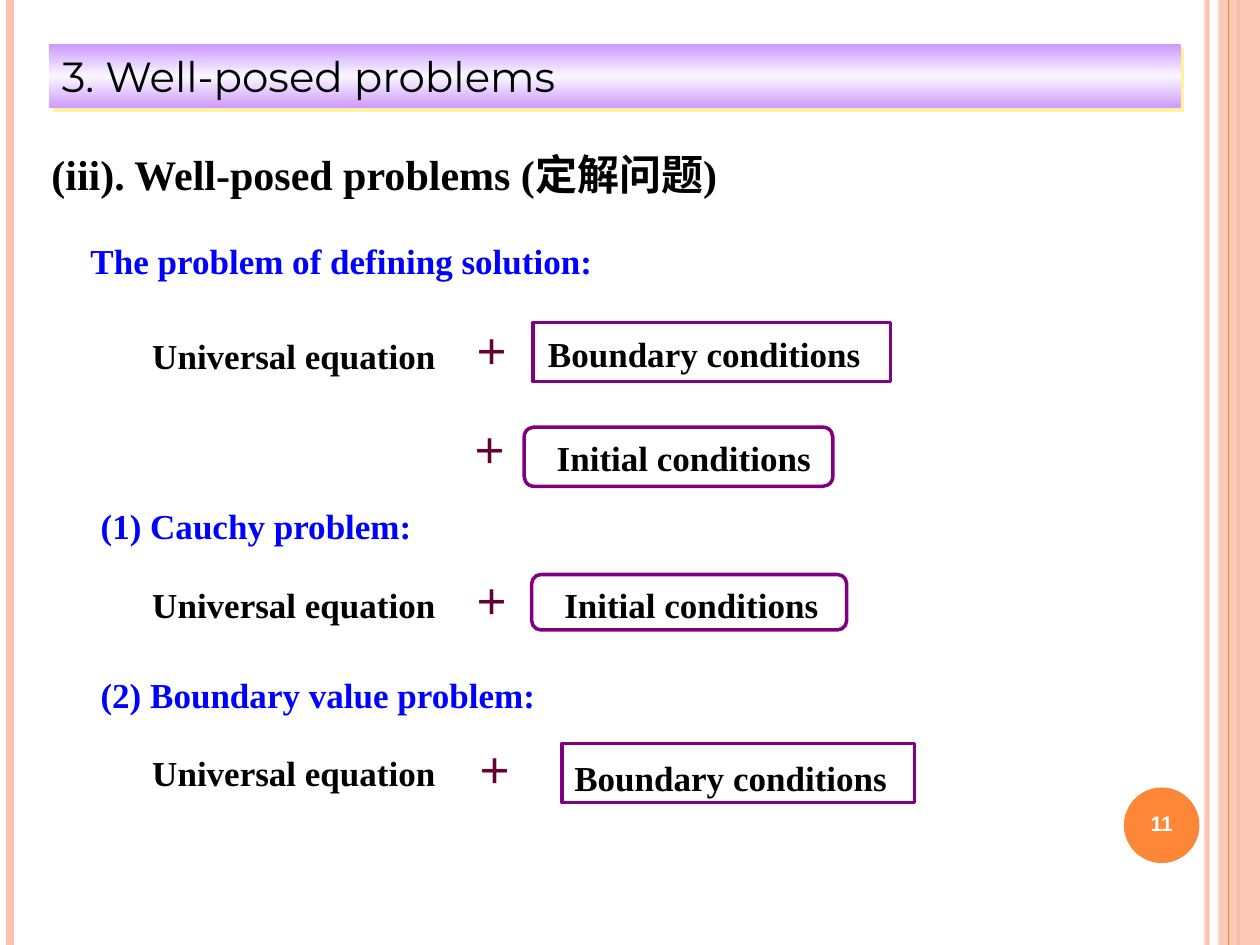
from lxml.etree import SubElement
from pptx import Presentation
from pptx.dml.color import RGBColor
from pptx.enum.shapes import MSO_CONNECTOR, MSO_SHAPE
from pptx.enum.text import MSO_ANCHOR, MSO_AUTO_SIZE, PP_ALIGN
from pptx.oxml import parse_xml
from pptx.oxml.ns import nsdecls, qn
from pptx.util import Inches, Pt

BLACK = RGBColor(0x00, 0x00, 0x00)
WHITE = RGBColor(0xFF, 0xFF, 0xFF)
BLUE = RGBColor(0x00, 0x00, 0xFF)
PURPLE = RGBColor(0x80, 0x00, 0x80)
MAROON = RGBColor(0x66, 0x00, 0x33)
ORANGE = RGBColor(0xFE, 0x86, 0x37)
PEACH = RGBColor(0xFE, 0xC3, 0xAE)
LILAC = RGBColor(0xCC, 0x99, 0xFF)
PALE_LILAC = RGBColor(0xFA, 0xF7, 0xFF)
YELLOW = RGBColor(0xFF, 0xF3, 0x9D)

SERIF = "Times New Roman"


def set_alpha(sp, percent):
    """Make the first solid colour of a shape or line partly transparent."""
    color = next(sp._element.spPr.iter(qn("a:srgbClr")))
    SubElement(color, qn("a:alpha"), val=str(percent * 1000))


def format_text(tf, text, size, color, font=SERIF, bold=True):
    tf.text = text
    r = tf.paragraphs[0].runs[0]
    r.font.name = font
    r.font.size = Pt(size)
    r.font.bold = bold
    r.font.color.rgb = color


def add_text(shapes, text, left, top, width, height=0.57, size=20,
             color=BLACK, spacing=1.4, wrap=True):
    box = shapes.add_textbox(Inches(left), Inches(top), Inches(width), Inches(height))
    tf = box.text_frame
    tf.word_wrap = wrap
    tf.auto_size = MSO_AUTO_SIZE.SHAPE_TO_FIT_TEXT
    format_text(tf, text, size, color)
    tf.paragraphs[0].line_spacing = spacing


def add_vertical_line(shapes, x, width, color, alpha=100):
    line = shapes.add_connector(MSO_CONNECTOR.STRAIGHT, Inches(x), 0, Inches(x), Inches(7.5))
    line.line.color.rgb = color
    line.line.width = Pt(width)
    SubElement(line._element.spPr, qn("a:effectLst"))
    if alpha < 100:
        set_alpha(line, alpha)


def add_filled_shape(shapes, kind, left, top, width, height, color):
    sp = shapes.add_shape(kind, Inches(left), Inches(top), Inches(width), Inches(height))
    sp.shadow.inherit = False
    sp.fill.solid()
    sp.fill.fore_color.rgb = color
    sp.line.fill.background()
    return sp


def add_condition(slide, text, text_at, kind, frame, plus_at):
    """Group a plus sign with a framed condition."""
    shapes = slide.shapes.add_group_shape().shapes
    add_text(shapes, text, *text_at, 3.62)
    sp = shapes.add_shape(kind, *map(Inches, frame))
    sp.shadow.inherit = False
    sp.fill.background()
    sp.line.color.rgb = PURPLE
    sp.line.width = Pt(2)
    add_text(shapes, "＋", *plus_at, 0.48, 0.44, color=MAROON, spacing=1.0, wrap=False)


def add_border(shapes):
    add_vertical_line(shapes, 9.58, 3, PEACH, 93)
    add_vertical_line(shapes, 0.08, 4.5, PEACH)
    add_vertical_line(shapes, 9.83, 1.5, ORANGE)
    band = add_filled_shape(shapes, MSO_SHAPE.RECTANGLE, 9.67, 0, 0.33, 7.5, PEACH)
    set_alpha(band, 87)
    add_vertical_line(shapes, 9.75, 0.75, ORANGE)


def add_page_number(shapes, number):
    sp = add_filled_shape(shapes, MSO_SHAPE.OVAL, 8.92, 6.25, 0.6, 0.6, ORANGE)
    tf = sp.text_frame
    tf.margin_left = tf.margin_right = 0
    tf.margin_top, tf.margin_bottom = 0, Inches(0.03)
    tf.vertical_anchor = MSO_ANCHOR.MIDDLE
    format_text(tf, number, 12, WHITE, "Arial")
    tf.paragraphs[0].alignment = PP_ALIGN.CENTER


def format_title(title, text):
    title.left, title.top = Inches(0.39), Inches(0.35)
    title.width, title.height = Inches(8.98), Inches(0.51)
    tf = title.text_frame
    tf.auto_size = MSO_AUTO_SIZE.NONE
    tf.vertical_anchor = MSO_ANCHOR.TOP
    format_text(tf, text, 24, BLACK, "Montserrat", bold=False)
    tf.paragraphs[0].alignment = PP_ALIGN.LEFT
    stops = "".join(
        f'<a:gs pos="{pos * 1000}"><a:srgbClr val="{color}"/></a:gs>'
        for pos, color in ((0, LILAC), (50, PALE_LILAC), (100, LILAC)))
    title._element.spPr.append(parse_xml(
        f'<a:gradFill {nsdecls("a")} rotWithShape="1"><a:gsLst>{stops}</a:gsLst>'
        '<a:lin ang="5400000" scaled="1"/></a:gradFill>'))
    title._element.spPr.append(parse_xml(
        f'<a:effectLst {nsdecls("a")}><a:outerShdw dist="{Pt(2.8)}" dir="2700000" '
        f'algn="ctr" rotWithShape="0"><a:srgbClr val="{YELLOW}"/></a:outerShdw></a:effectLst>'))


def main():
    prs = Presentation()
    prs.slide_width, prs.slide_height = Inches(10), Inches(7.5)
    slide = prs.slides.add_slide(prs.slide_layouts[5])
    shapes = slide.shapes

    format_title(shapes.title, "3. Well-posed problems")
    add_border(shapes)
    add_page_number(shapes, "11")

    add_text(shapes, "(iii). Well-posed problems (定解问题)", 0.31, 0.97, 8.03, 0.67, size=24)
    for text, left, top, width in (
            ("The problem of defining solution:", 0.62, 1.72, 8.03),
            ("(1) Cauchy problem:", 0.7, 3.82, 5.75),
            ("(2) Boundary value problem:", 0.7, 5.16, 6.3)):
        add_text(shapes, text, left, top, width, color=BLUE)
    for top in (2.47, 4.45, 5.78):
        add_text(shapes, "Universal equation", 1.11, top, 2.99)

    boundary = "Boundary conditions", MSO_SHAPE.RECTANGLE
    initial = "Initial conditions", MSO_SHAPE.ROUNDED_RECTANGLE
    for (text, kind), text_at, frame, plus_at in (
            (boundary, (4.25, 2.46), (4.23, 2.56, 2.84, 0.47), (3.67, 2.57)),
            (initial, (4.32, 3.28), (4.16, 3.39, 2.45, 0.47), (3.65, 3.36)),
            (initial, (4.38, 4.45), (4.22, 4.56, 2.5, 0.44), (3.67, 4.56)),
            (boundary, (4.46, 5.82), (4.46, 5.9, 2.8, 0.47), (3.69, 5.9))):
        add_condition(slide, text, text_at, kind, frame, plus_at)

    prs.save("out.pptx")


if __name__ == "__main__":
    main()
